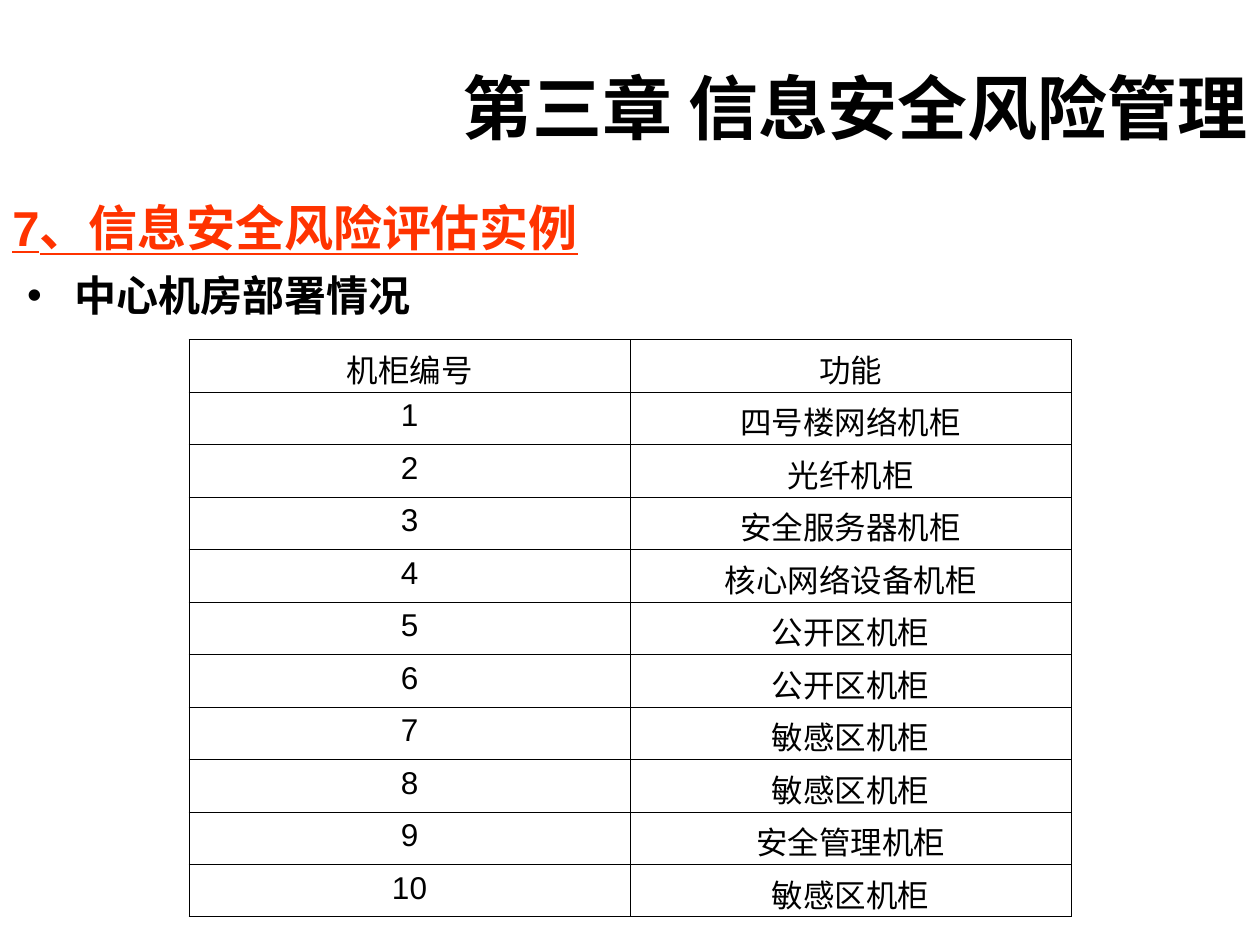
"""Build the slide on the server room cabinets of a risk assessment example."""
from lxml.etree import SubElement
from pptx import Presentation
from pptx.dml.color import RGBColor
from pptx.enum.text import MSO_ANCHOR, PP_ALIGN
from pptx.oxml.ns import qn
from pptx.util import Pt

TITLE = "第三章 信息安全风险管理"
HEADING = "7、信息安全风险评估实例"
BULLET = "中心机房部署情况"
HEADER = ("机柜编号", "功能")
CABINETS = [
    "四号楼网络机柜", "光纤机柜", "安全服务器机柜", "核心网络设备机柜", "公开区机柜",
    "公开区机柜", "敏感区机柜", "敏感区机柜", "安全管理机柜", "敏感区机柜",
]
ROWS = [HEADER] + [(str(n), name) for n, name in enumerate(CABINETS, 1)]
CJK = "Noto Sans CJK SC"
COL_WIDTH, ROW_HEIGHT = 252, 30


def color(value):
    return RGBColor.from_string(value)


def write(tf, text, size=18, font="Arial", east=CJK, fill="000000", bold=False,
          underline=False, align=PP_ALIGN.LEFT, bullet=None):
    p = tf.paragraphs[0]
    if bullet:
        pPr = p._p.get_or_add_pPr()
        pPr.set("marL", str(Pt(27)))
        pPr.set("indent", str(-Pt(27)))
        SubElement(pPr, qn("a:buFont"), typeface="Arial")
        SubElement(pPr, qn("a:buChar"), char=bullet)
    p.alignment = align
    r = p.add_run()
    r.text = text
    r.font.size = Pt(size)
    r.font.name = font
    r.font.bold = bold
    r.font.underline = underline
    r.font.color.rgb = color(fill)
    SubElement(r._r.get_or_add_rPr(), qn("a:ea"), typeface=east)


def add_text(s, box, text, anchor=MSO_ANCHOR.MIDDLE, **fmt):
    tf = s.shapes.add_textbox(*map(Pt, box)).text_frame
    tf.word_wrap = True
    tf.vertical_anchor = anchor
    write(tf, text, **fmt)


def add_borders(cell, line="000000", width=0.45):
    tcPr = cell._tc.get_or_add_tcPr()
    for i, side in enumerate(("a:lnL", "a:lnR", "a:lnT", "a:lnB")):
        ln = tcPr.makeelement(qn(side), {"w": str(Pt(width))})
        SubElement(SubElement(ln, qn("a:solidFill")), qn("a:srgbClr"), val=line)
        tcPr.insert(i, ln)


def add_grid(s, left, top, rows):
    cols = len(rows[0])
    table = s.shapes.add_table(len(rows), cols, Pt(left), Pt(top), Pt(COL_WIDTH * cols),
                               Pt(ROW_HEIGHT * len(rows))).table
    table.first_row = table.horz_banding = False
    for row, texts in zip(table.rows, rows):
        row.height = Pt(ROW_HEIGHT)
        for cell, text in zip(row.cells, texts):
            cell.margin_bottom = 0
            cell.fill.background()
            add_borders(cell)
            write(cell.text_frame, text, align=PP_ALIGN.CENTER)


def main():
    prs = Presentation()
    prs.slide_width, prs.slide_height = Pt(720), Pt(540)
    s = prs.slides.add_slide(prs.slide_layouts[6])
    add_text(s, (114, 42, 606, 38), TITLE, size=40, font=CJK, bold=True, align=PP_ALIGN.RIGHT)
    add_text(s, (0, 109.5, 720, 41), HEADING, anchor=MSO_ANCHOR.TOP, size=28, fill="FF3300",
             bold=True, underline=True)
    add_text(s, (8.5, 150.5, 715, 36), BULLET, size=24, font="Noto Sans CJK JP",
             east="Noto Sans CJK JP", bold=True, bullet="•")
    add_grid(s, 108, 194, ROWS)
    prs.save("out.pptx")


if __name__ == "__main__":
    main()
